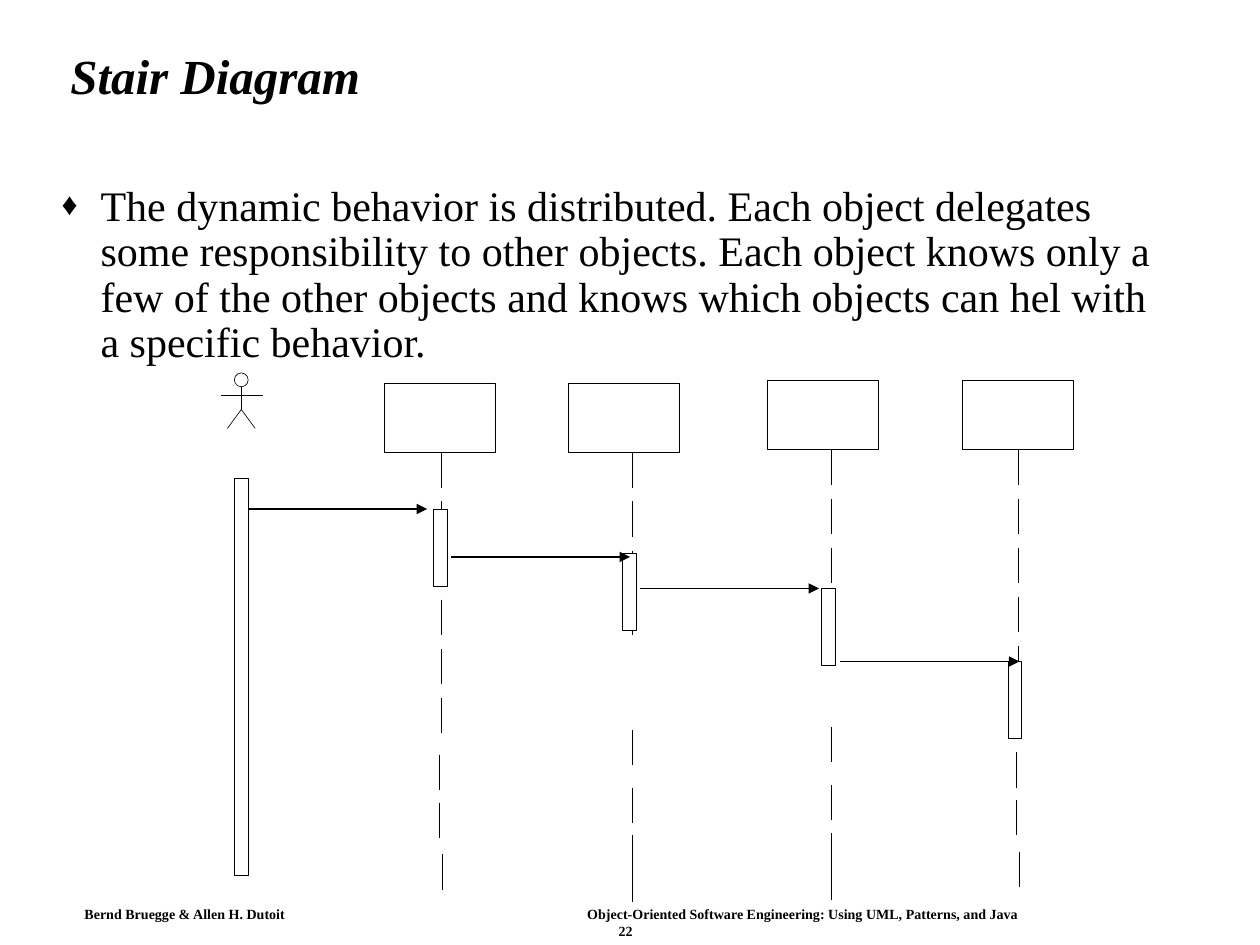
from lxml import etree
from pptx import Presentation
from pptx.dml.color import RGBColor
from pptx.enum.shapes import MSO_CONNECTOR as Link, MSO_SHAPE as Shape
from pptx.enum.text import MSO_ANCHOR as Anchor
from pptx.oxml.ns import qn
from pptx.util import Inches, Pt

BLACK, WHITE = "000000", "FFFFFF"
HAIRLINE = 0.37
DASH = 0.28
DASH_STEP = 0.39
BAR_WIDTH, BAR_HEIGHT = 0.11, 0.61
OBJECT_WIDTH, OBJECT_HEIGHT = 0.88, 0.55


def color(hex_code):
    return RGBColor.from_string(hex_code)


def add_text_frame(slide, left, top, width, height, margins=(0.1, 0.05)):
    box = slide.shapes.add_textbox(*map(Inches, (left, top, width, height)))
    frame = box.text_frame
    frame.word_wrap = True
    frame.margin_left = frame.margin_right = Inches(margins[0])
    frame.margin_top = frame.margin_bottom = Inches(margins[1])
    return frame


def add_run(paragraph, text, size, bold=False, italic=False):
    run = paragraph.add_run()
    run.text = text
    run.font.name = "Times New Roman"
    run.font.size = Pt(size)
    run.font.bold, run.font.italic = bold, italic
    run.font.color.rgb = color(BLACK)


def set_bullet(paragraph, symbol, indent, percent):
    props = paragraph._p.get_or_add_pPr()
    props.set("marL", str(Inches(indent)))
    props.set("indent", str(-Inches(indent)))
    bullet_color = etree.SubElement(props, qn("a:buClr"))
    etree.SubElement(bullet_color, qn("a:srgbClr"), val=BLACK)
    etree.SubElement(props, qn("a:buSzPct"), val=str(percent * 1000))
    etree.SubElement(props, qn("a:buFont"), typeface="Times New Roman")
    etree.SubElement(props, qn("a:buChar"), char=symbol)


def set_tab(paragraph, position):
    props = paragraph._p.get_or_add_pPr()
    tabs = etree.SubElement(props, qn("a:tabLst"))
    etree.SubElement(tabs, qn("a:tab"), pos=str(Inches(position)), algn="l")


def add_outline(slide, kind, left, top, width, height):
    outline = slide.shapes.add_shape(
        kind, *map(Inches, (left, top, width, height)))
    outline.shadow.inherit = False
    outline.fill.solid()
    outline.fill.fore_color.rgb = color(WHITE)
    outline.line.color.rgb = color(BLACK)
    outline.line.width = Pt(HAIRLINE)


def add_line(slide, x1, y1, x2, y2, weight=HAIRLINE, arrow=False):
    line = slide.shapes.add_connector(
        Link.STRAIGHT, *map(Inches, (x1, y1, x2, y2)))
    line.line.color.rgb = color(BLACK)
    line.line.width = Pt(weight)
    if arrow:
        etree.SubElement(line.line._get_or_add_ln(), qn("a:tailEnd"),
                         type="triangle")
    etree.SubElement(line._element.spPr, qn("a:effectLst"))


def add_actor(slide, center, top):
    hip = top + 0.29
    add_outline(slide, Shape.OVAL, center - 0.055, top, 0.11, 0.11)
    add_line(slide, center, top + 0.11, center, hip)
    add_line(slide, center - 0.16, top + 0.18, center + 0.17, top + 0.18)
    legs = slide.shapes.build_freeform(
        Inches(center - 0.11), Inches(hip + 0.15))
    legs.add_line_segments(
        [(Inches(center), Inches(hip)),
         (Inches(center + 0.11), Inches(hip + 0.15))], close=False)
    figure = legs.convert_to_shape()
    figure.shadow.inherit = False
    figure.fill.background()
    figure.line.color.rgb = color(BLACK)
    figure.line.width = Pt(HAIRLINE)


def add_object(slide, left, top, axis, dash_count, lower_dashes, bar):
    add_outline(slide, Shape.RECTANGLE, left, top, OBJECT_WIDTH, OBJECT_HEIGHT)
    foot = top + OBJECT_HEIGHT
    dashes = [(0, DASH_STEP * i) for i in range(dash_count)] + lower_dashes
    for shift, drop in dashes:
        x, y = axis + shift, foot + drop
        add_line(slide, x, y, x, y + DASH)
    add_outline(slide, Shape.RECTANGLE, *bar, BAR_WIDTH, BAR_HEIGHT)


def add_footer(slide):
    frame = add_text_frame(slide, 0.59, 7.15, 8.65, 0.33, (0.08, 0.04))
    credits = frame.paragraphs[0]
    set_tab(credits, 3.99)
    add_run(credits, "Bernd Bruegge & Allen H. Dutoit\tObject-Oriented Software "
            "Engineering: Using UML, Patterns, and Java", 8, bold=True)
    number = frame.add_paragraph()
    set_tab(number, 4.24)
    add_run(number, "\t22", 8, bold=True)


def main():
    deck = Presentation()
    deck.slide_width, deck.slide_height = Inches(10), Inches(7.5)
    slide = deck.slides.add_slide(deck.slide_layouts[6])

    add_footer(slide)
    heading = add_text_frame(slide, 0.46, 0.24, 8.92, 0.77)
    heading.vertical_anchor = Anchor.MIDDLE
    heading.paragraphs[0].line_spacing = 0.9
    add_run(heading.paragraphs[0], "Stair Diagram", 28, bold=True, italic=True)

    statement = add_text_frame(slide, 0.39, 1.42, 9.03, 1.67).paragraphs[0]
    statement.line_spacing = 0.9
    set_bullet(statement, "♦", 0.31, 75)
    add_run(statement, "The dynamic behavior is distributed. Each object "
            "delegates some responsibility to other objects. Each object knows "
            "only a few of the other objects and knows which objects can hel "
            "with a specific behavior.", 24)

    add_actor(slide, 1.915, 2.96)
    add_outline(slide, Shape.RECTANGLE, 1.86, 3.8, BAR_WIDTH, 3.15)

    outer_dashes = [(-0.01, 2.4), (-0.01, 2.78), (0.01, 3.19)]
    inner_dashes = [(0, 2.2), (0, 2.66), (0, 3.04), (0, 3.29)]
    objects = [
        (3.05, 3.04, 3.5, 6, outer_dashes, (3.44, 4.04)),
        (4.51, 3.04, 5.02, 4, inner_dashes, (4.94, 4.39)),
        (6.09, 3.02, 6.6, 3, inner_dashes, (6.52, 4.67)),
        (7.64, 3.02, 8.08, 5, outer_dashes, (8, 5.25)),
    ]
    for item in objects:
        add_object(slide, *item)

    for start, level in [(1.97, 4.04), (3.58, 4.42), (5.08, 4.67), (6.67, 5.25)]:
        add_line(slide, start, level, start + 1.42, level, 1, arrow=True)

    deck.save("out.pptx")


if __name__ == "__main__":
    main()
